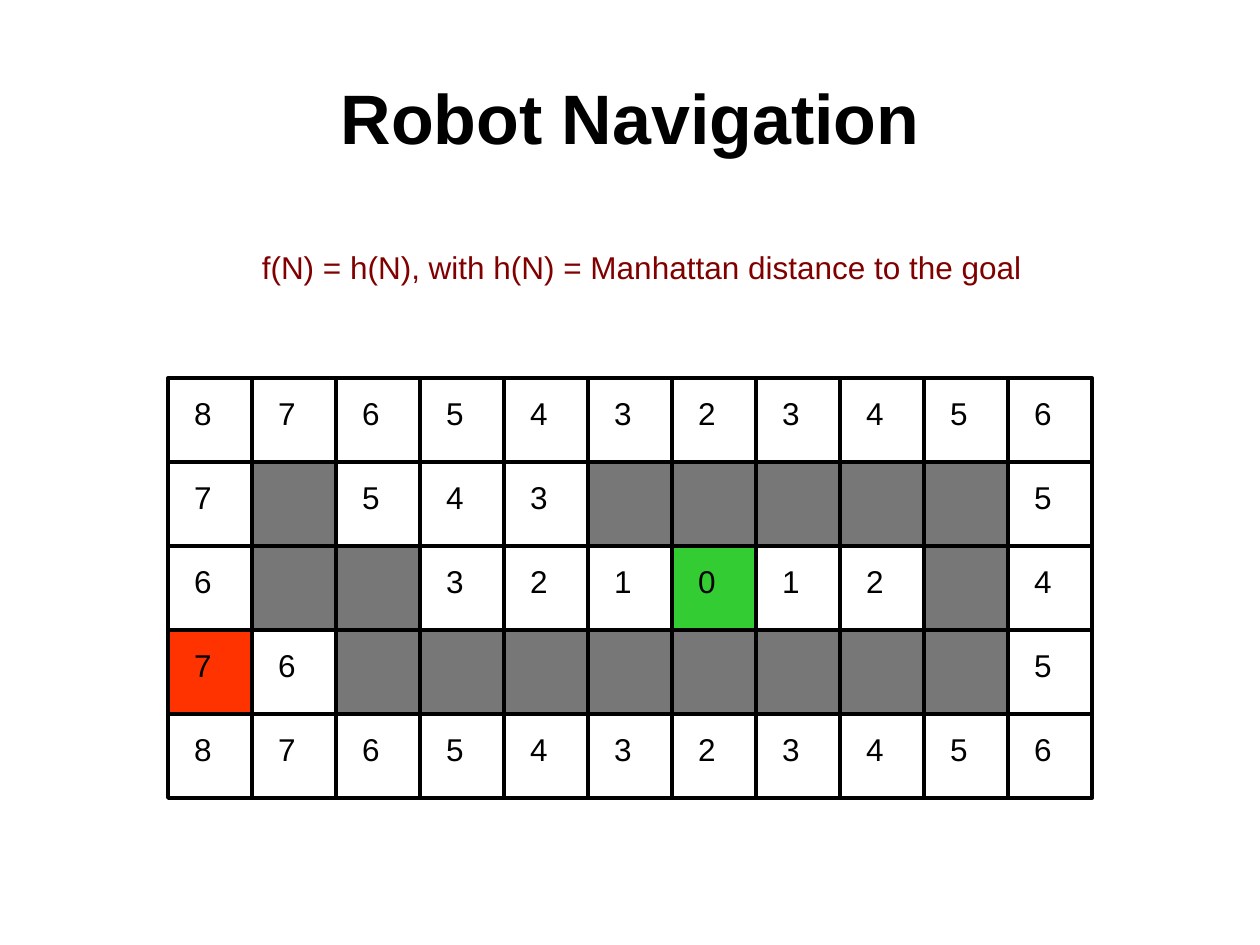
from dataclasses import dataclass

from pptx import Presentation
from pptx.dml.color import RGBColor
from pptx.enum.shapes import MSO_CONNECTOR, MSO_SHAPE
from pptx.enum.text import MSO_ANCHOR, MSO_AUTO_SIZE, PP_ALIGN
from pptx.oxml.ns import qn
from pptx.util import Inches, Pt


@dataclass(frozen=True)
class Theme:
    font: str = "Arial"
    ink: str = "000000"
    formula: str = "800000"
    wall: str = "777777"
    start: str = "FF3300"
    goal: str = "33CC33"
    title_size: int = 40
    body_size: int = 18
    line_width: float = 2.25


@dataclass(frozen=True)
class Box:
    x: float
    y: float
    w: float
    h: float

    def emu(self) -> list:
        return [Inches(v) for v in (self.x, self.y, self.w, self.h)]


@dataclass(frozen=True)
class Label:
    text: str
    box: Box
    size: int
    color: str
    bold: bool = False
    centered: bool = False


THEME = Theme()

# Manhattan distances per cell; # marks a wall
MAZE = [
    "87654323456",
    "7#543#####5",
    "6##321012#4",
    "76########5",
    "87654323456",
]
ROWS, COLS = len(MAZE), len(MAZE[0])
CELL = 2 / 3
GRID = Box(4 / 3, 3, COLS * CELL, ROWS * CELL)
START, GOAL = (3, 0), (2, 6)


def set_line(sp) -> None:
    sp.line.color.rgb = RGBColor.from_string(THEME.ink)
    sp.line.width = Pt(THEME.line_width)


def add_rect(s, box: Box, fill: str = "") -> None:
    sp = s.shapes.add_shape(MSO_SHAPE.RECTANGLE, *box.emu())
    sp.shadow.inherit = False
    if fill:
        sp.fill.solid()
        sp.fill.fore_color.rgb = RGBColor.from_string(fill)
    else:
        sp.fill.background()
    set_line(sp)


def add_rule(s, x1: float, y1: float, x2: float, y2: float) -> None:
    ends = [Inches(v) for v in (x1, y1, x2, y2)]
    cxn = s.shapes.add_connector(MSO_CONNECTOR.STRAIGHT, *ends)
    set_line(cxn)
    sp_pr = cxn.element.spPr
    sp_pr.append(sp_pr.makeelement(qn("a:effectLst"), {}))


def add_label(s, label: Label) -> None:
    tf = s.shapes.add_textbox(*label.box.emu()).text_frame
    frame_format = {
        "word_wrap": label.centered,
        "auto_size": MSO_AUTO_SIZE.NONE if label.centered else MSO_AUTO_SIZE.SHAPE_TO_FIT_TEXT,
        "vertical_anchor": MSO_ANCHOR.MIDDLE if label.centered else MSO_ANCHOR.TOP,
    }
    for name, value in frame_format.items():
        setattr(tf, name, value)
    p = tf.paragraphs[0]
    p.alignment = PP_ALIGN.CENTER if label.centered else PP_ALIGN.LEFT
    r = p.add_run()
    r.text = label.text
    font_format = {"name": THEME.font, "size": Pt(label.size), "bold": label.bold}
    for name, value in font_format.items():
        setattr(r.font, name, value)
    r.font.color.rgb = RGBColor.from_string(label.color)


def add_maze(s) -> None:
    # Frame and grid lines
    add_rect(s, GRID)
    for col in range(1, COLS):
        x = GRID.x + col * CELL
        add_rule(s, x, GRID.y, x, GRID.y + GRID.h)
    for row in range(1, ROWS):
        y = GRID.y + row * CELL
        add_rule(s, GRID.x, y, GRID.x + GRID.w, y)

    # Walls, start and goal, each with its distance
    special = {START: THEME.start, GOAL: THEME.goal}
    for row, marks in enumerate(MAZE):
        for col, mark in enumerate(marks):
            x, y = GRID.x + col * CELL, GRID.y + row * CELL
            fill = THEME.wall if mark == "#" else special.get((row, col))
            if fill:
                add_rect(s, Box(x, y, CELL, CELL), fill)
            if mark != "#":
                box = Box(x + 0.11, y + 0.08, 0.34, 0.4)
                add_label(s, Label(mark, box, THEME.body_size, THEME.ink))


def main() -> None:
    prs = Presentation()
    prs.slide_width, prs.slide_height = Inches(10), Inches(7.5)
    s = prs.slides.add_slide(prs.slide_layouts[6])

    # Title
    add_label(s, Label("Robot Navigation", Box(0.5, 0.3, 9, 1.25),
                       THEME.title_size, THEME.ink, bold=True, centered=True))
    add_maze(s)

    # Evaluation function
    add_label(s, Label("f(N) = h(N), with h(N) = Manhattan distance to the goal",
                       Box(1.98, 1.92, 6.23, 0.4), THEME.body_size, THEME.formula))
    prs.save("out.pptx")


if __name__ == "__main__":
    main()
